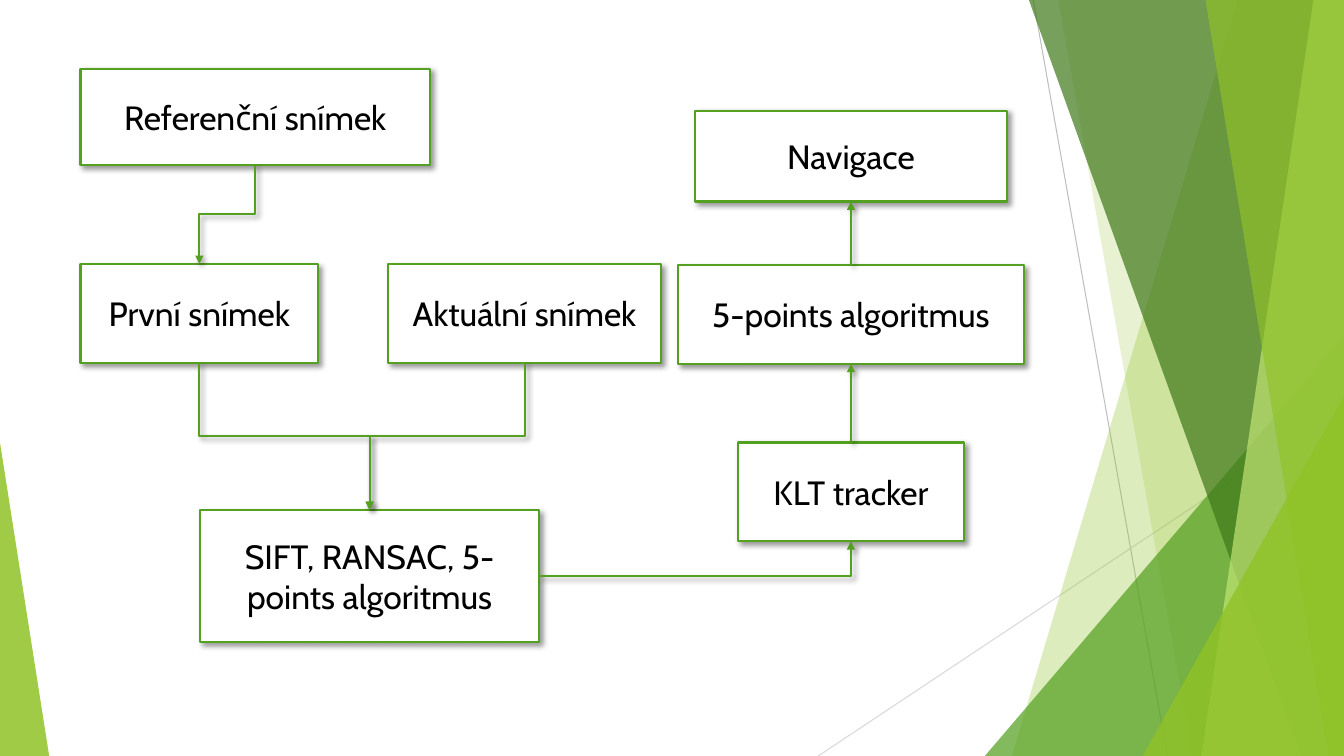
import pptx
import pptx.util
import pptx.dml.color
import pptx.enum.shapes
import pptx.enum.text
import pptx.oxml
import pptx.oxml.ns

Cm, Pt = pptx.util.Cm, pptx.util.Pt
RGBColor = pptx.dml.color.RGBColor
MSO_SHAPE = pptx.enum.shapes.MSO_SHAPE
MSO_CONNECTOR = pptx.enum.shapes.MSO_CONNECTOR
qn = pptx.oxml.ns.qn

WHITE = RGBColor(0xFF, 0xFF, 0xFF)
BLACK = RGBColor(0x00, 0x00, 0x00)
GREEN = RGBColor(0x54, 0xA0, 0x21)
LIME = RGBColor(0x90, 0xC2, 0x26)
DARK_GREEN = RGBColor(0x3F, 0x78, 0x19)
PALE_LIME = RGBColor(0xC0, 0xE4, 0x74)
GREY = RGBColor(0xBF, 0xBF, 0xBF)
LIGHT_GREY = RGBColor(0xD9, 0xD9, 0xD9)

SLIDE_WIDTH, SLIDE_HEIGHT = 33.87, 19.05
FONT = "Cabin"
TOP, LEFT, BOTTOM, RIGHT = range(4)  # connection sites of a rectangle

SHADOW = (
    f'<a:outerShdw {pptx.oxml.ns.nsdecls("a")} blurRad="{Pt(4)}" dist="{Pt(3)}" '
    'dir="2700000" algn="tl" rotWithShape="0"><a:srgbClr val="000000">'
    '<a:alpha val="40000"/></a:srgbClr></a:outerShdw>'
)


def add_effects(shape, shadow):
    """Replace inherited effects by a drop shadow, or by none."""
    properties = shape.element.spPr
    effects = properties.find(qn("a:effectLst"))
    if effects is None:
        effects = properties.makeelement(qn("a:effectLst"), {})
        properties.append(effects)
    if shadow:
        effects.append(pptx.oxml.parse_xml(SHADOW))


def fill_facet(facet, color, opacity):
    facet.shadow.inherit = False
    facet.line.fill.background()
    facet.fill.solid()
    facet.fill.fore_color.rgb = color
    color_xml = facet.element.spPr.find(".//" + qn("a:srgbClr"))
    alpha = color_xml.makeelement(qn("a:alpha"), {"val": str(opacity * 1000)})
    color_xml.append(alpha)


def add_band(slide, top_x, bottom_x, color, opacity):
    """Add a full-height band from a slanted left edge to the right slide edge."""
    outline = slide.shapes.build_freeform(Cm(top_x), Cm(0), scale=1.0)
    outline.add_line_segments([
        (Cm(SLIDE_WIDTH), Cm(0)),
        (Cm(SLIDE_WIDTH), Cm(SLIDE_HEIGHT)),
        (Cm(bottom_x), Cm(SLIDE_HEIGHT)),
    ])
    fill_facet(outline.convert_to_shape(), color, opacity)


def add_corner(slide, left, top, width, apex, color, opacity):
    """Add a triangle standing on the bottom slide edge."""
    corner = slide.shapes.add_shape(
        MSO_SHAPE.ISOSCELES_TRIANGLE,
        Cm(left), Cm(top), Cm(width), Cm(SLIDE_HEIGHT - top))
    corner.adjustments[0] = apex
    fill_facet(corner, color, opacity)


def add_thin_line(slide, x1, y1, x2, y2, color):
    line = slide.shapes.add_connector(
        MSO_CONNECTOR.STRAIGHT, Cm(x1), Cm(y1), Cm(x2), Cm(y2))
    line.line.color.rgb = color
    line.line.width = Pt(0.75)
    add_effects(line, shadow=False)


def add_background(slide):
    add_thin_line(slide, 26.04, 0, 29.42, SLIDE_HEIGHT, GREY)
    add_thin_line(slide, SLIDE_WIDTH, 10.24, 20.62, SLIDE_HEIGHT, LIGHT_GREY)
    add_band(slide, 31.19, 25.5, LIME, 30)
    add_band(slide, 26.67, 30.05, LIME, 20)
    add_corner(slide, 24.82, 8.46, 9.05, 1, GREEN, 72)
    add_band(slide, 25.93, 32.79, DARK_GREEN, 70)
    add_band(slide, 33.1, 30.28, PALE_LIME, 70)
    add_band(slide, 30.38, 33.48, LIME, 65)
    add_corner(slide, 28.8, 9.98, 5.07, 1, LIME, 80)
    add_corner(slide, 0, 11.15, 1.24, 0, LIME, 85)


def add_step(slide, text, left, top, width, height=2.49):
    step = slide.shapes.add_shape(
        MSO_SHAPE.RECTANGLE, Cm(left), Cm(top), Cm(width), Cm(height))
    step.shadow.inherit = False
    step.fill.solid()
    step.fill.fore_color.rgb = WHITE
    step.line.color.rgb = GREEN
    step.line.width = Pt(1.5)
    add_effects(step, shadow=True)
    frame = step.text_frame
    frame.word_wrap = True
    frame.vertical_anchor = pptx.enum.text.MSO_ANCHOR.MIDDLE
    frame.text = text
    paragraph = frame.paragraphs[0]
    paragraph.alignment = pptx.enum.text.PP_ALIGN.CENTER
    font = paragraph.runs[0].font
    font.name, font.size, font.color.rgb = FONT, Pt(24), BLACK
    return step


def add_arrow(slide, source, source_site, target, target_site,
              kind=MSO_CONNECTOR.STRAIGHT):
    arrow = slide.shapes.add_connector(kind, 0, 0, 0, 0)
    arrow.begin_connect(source, source_site)
    arrow.end_connect(target, target_site)
    arrow.line.color.rgb = GREEN
    arrow.line.width = Pt(1.5)
    outline = arrow.line._get_or_add_ln()
    outline.append(outline.makeelement(qn("a:tailEnd"), {"type": "triangle"}))
    add_effects(arrow, shadow=True)
    return arrow


def add_down_elbow(slide, source, target):
    """Add an elbow that leaves downwards: a level one turned a quarter."""
    arrow = add_arrow(slide, source, BOTTOM, target, TOP, MSO_CONNECTOR.ELBOW)
    to_right = arrow.end_x > arrow.begin_x
    width, height = arrow.width, arrow.height
    arrow.left += (width - height) // 2
    arrow.top += (height - width) // 2
    arrow.width, arrow.height = height, width
    frame = arrow.element.spPr.find(qn("a:xfrm"))
    frame.set("rot", "16200000" if to_right else "5400000")
    frame.set("flipH", "1" if to_right else "0")
    frame.set("flipV", "0")


def add_corner_elbow(slide, source, target):
    """Add an elbow with one bend, from the right side to the bottom side."""
    arrow = add_arrow(slide, source, RIGHT, target, BOTTOM, MSO_CONNECTOR.ELBOW)
    arrow.element.spPr.find(qn("a:prstGeom")).set("prst", "bentConnector2")


def main():
    presentation = pptx.Presentation()
    presentation.slide_width = Cm(SLIDE_WIDTH)
    presentation.slide_height = Cm(SLIDE_HEIGHT)
    slide = presentation.slides.add_slide(presentation.slide_layouts[6])
    add_background(slide)

    first = add_step(slide, "První snímek", 2.03, 6.65, 5.99)
    current = add_step(slide, "Aktuální snímek", 9.78, 6.65, 6.88)
    matching = add_step(slide, "SIFT, RANSAC, 5-points algoritmus",
                        5.05, 12.85, 8.53, 3.33)
    reference = add_step(slide, "Referenční snímek", 2.03, 1.73, 8.81, 2.42)
    five_points = add_step(slide, "5-points algoritmus", 17.09, 6.68, 8.71)
    tracker = add_step(slide, "KLT tracker", 18.6, 11.15, 5.69)
    navigation = add_step(slide, "Navigace", 17.51, 2.79, 7.87, 2.29)

    add_corner_elbow(slide, matching, tracker)
    for source, target in ((first, matching), (current, matching),
                           (reference, first)):
        add_down_elbow(slide, source, target)
    for source, target in ((tracker, five_points), (five_points, navigation)):
        add_arrow(slide, source, TOP, target, BOTTOM)

    presentation.save("out.pptx")


if __name__ == "__main__":
    main()
